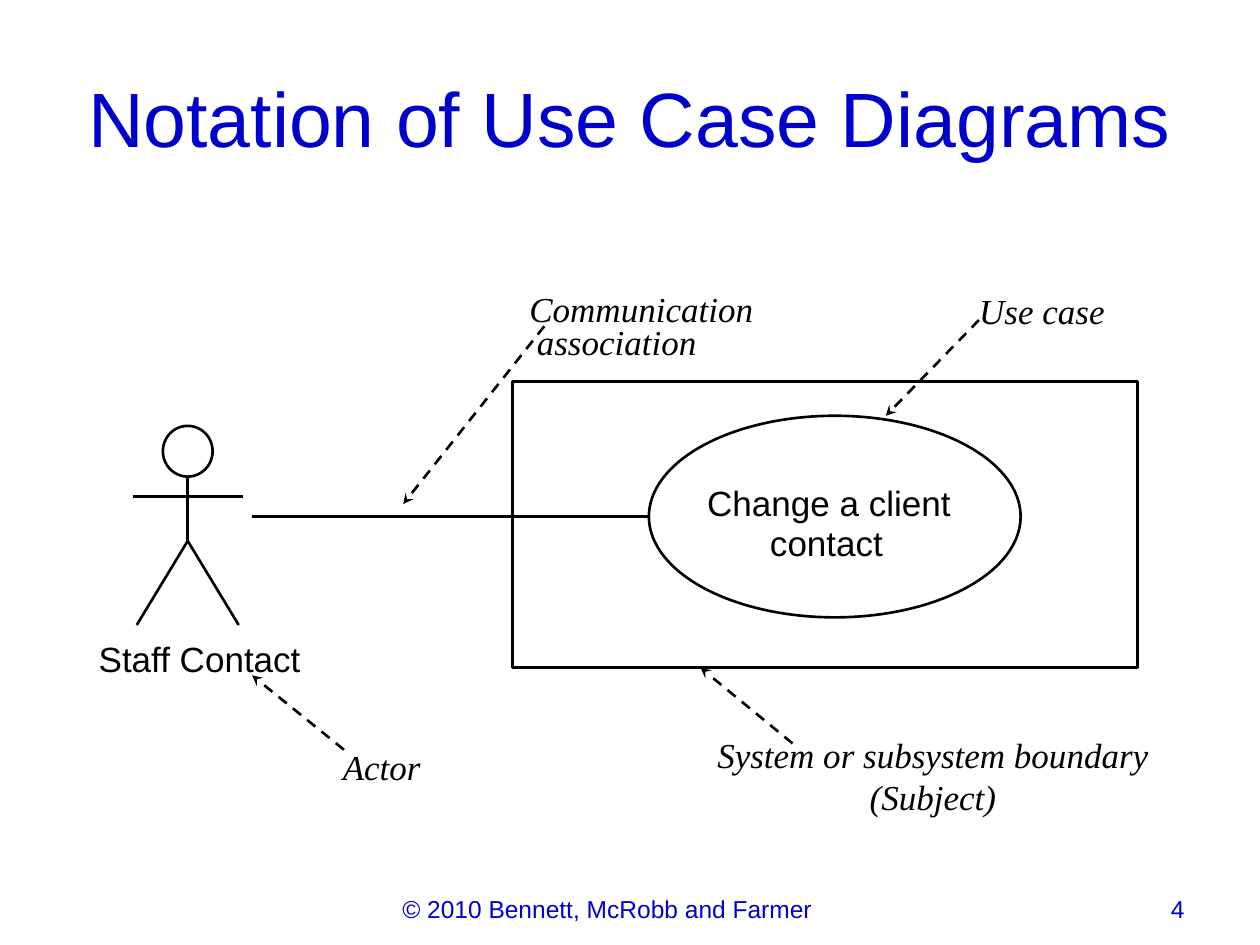
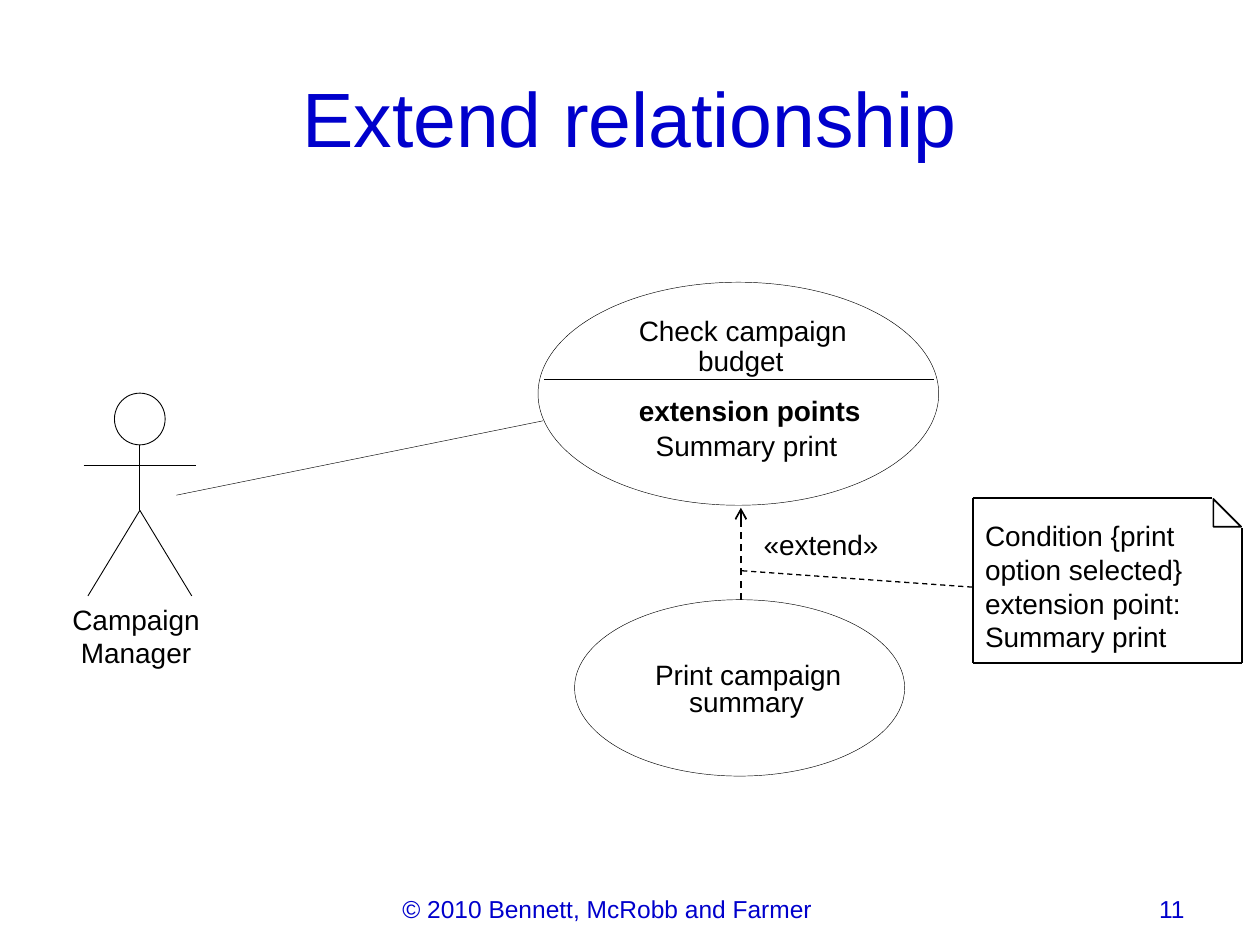
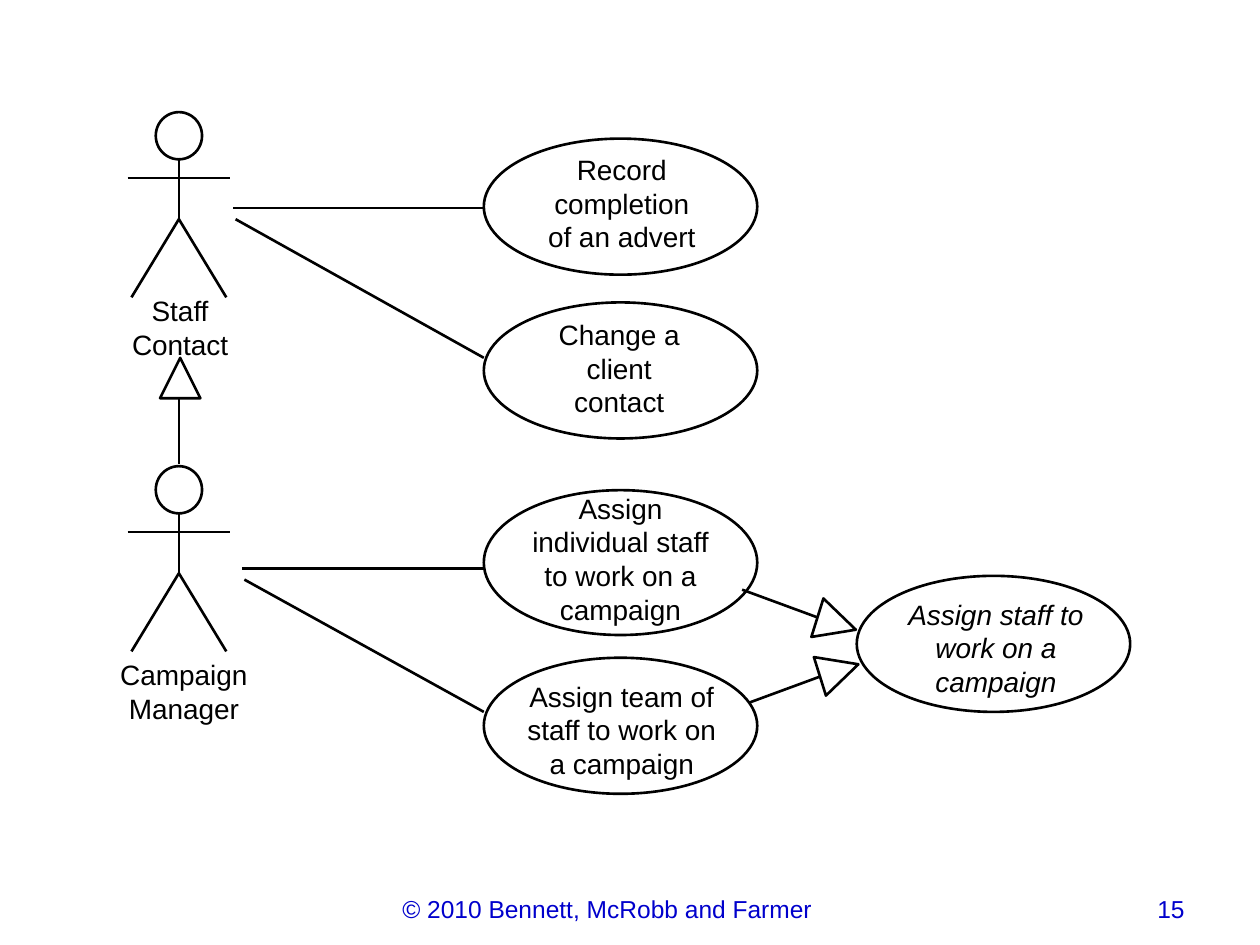
from lxml import etree
from pptx import Presentation
from pptx.dml.color import RGBColor
from pptx.enum import dml, shapes, text
from pptx.oxml.ns import qn
from pptx.util import Inches, Pt

BLUE = RGBColor(0x00, 0x00, 0xCC)
BLACK = RGBColor(0x00, 0x00, 0x00)
WHITE = RGBColor(0xFF, 0xFF, 0xFF)
SANS, SERIF = "Arial", "Times New Roman"
LEFT, CENTER, RIGHT = text.PP_ALIGN.LEFT, text.PP_ALIGN.CENTER, text.PP_ALIGN.RIGHT
SHAPE = shapes.MSO_SHAPE

TITLE_BOX = (0.5, 0.3, 9, 1.25)
FOOTER = "© 2010 Bennett, McRobb and Farmer"
FOOTER_BOX = (2.53, 7.05, 4.58, 0.3)
NUMBER_BOX = (7.17, 7.05, 2.33, 0.3)
MARGINS = (0.1, 0.05)

# Notation slide
BOUNDARY = (4.07, 3.03, 4.96, 2.27)
CHANGE_CONTACT = (5.15, 3.3, 2.95, 1.6)
COMMUNICATION = (2, 4.1, 5.15, 4.1)
NOTATION_NAMES = [
    ("Staff Contact", (0.78, 5.06, 1.61, 0.33)),
    ("Change a client", (5.61, 3.82, 1.94, 0.33)),
    ("contact", (6.11, 4.14, 0.9, 0.33)),
]
NOTATION_TERMS = [
    ("System or subsystem boundary\n(Subject)", (5.69, 5.82, 3.43, 0.67)),
    ("Actor", (2.72, 5.92, 0.62, 0.33)),
    ("Use case", (7.77, 2.3, 1, 0.33)),
    ("Communication", (4.2, 2.28, 1.78, 0.33)),
    ("association", (4.26, 2.54, 1.27, 0.33)),
]
TERM_POINTERS = [
    (2.73, 5.95, 2, 5.36),
    (6.29, 5.9, 5.56, 5.3),
    (7.77, 2.54, 7.03, 3.3),
    (4.32, 2.59, 3.2, 4),
]

# Extend slide
CHECK_BUDGET = (4.27, 2.24, 3.18, 1.77)
PRINT_SUMMARY = (4.56, 4.76, 2.62, 1.4)
EXTEND_TEXTS = [
    ("Campaign\nManager", (0.53, 4.78, 1.1, 0.55), CENTER, False),
    ("Check campaign", (5.07, 2.49, 1.74, 0.2), LEFT, False),
    ("budget", (5.54, 2.73, 0.8, 0.2), LEFT, False),
    ("extension points", (5.07, 3.12, 2.05, 0.34), LEFT, True),
    ("Summary print", (4.7, 3.4, 2.45, 0.43), CENTER, False),
    ("«extend»", (6.06, 4.19, 1.28, 0.3), LEFT, False),
    ("Print campaign", (5.2, 5.22, 1.57, 0.2), LEFT, False),
    ("summary", (5.47, 5.43, 1.03, 0.2), LEFT, False),
]
NOTE = (7.72, 3.95, 2.14, 1.31)
NOTE_FOLD = 0.24
CONDITION = ["Condition {print\noption selected}", "extension point: Summary print"]

# Generalization slide
CASE_LEFT, CASE_WIDTH, CASE_HEIGHT = 3.84, 2.17, 1.08
USE_CASES = [  # ellipse left, top, height; paragraphs; text box; italic
    (CASE_LEFT, 1.1, CASE_HEIGHT, ["Record completion", "of an advert"],
     (4.12, 1.21, 1.63, 0.91), False),
    (CASE_LEFT, 2.4, CASE_HEIGHT, ["Change a client", "contact"],
     (4.2, 2.52, 1.43, 0.84), False),
    (CASE_LEFT, 3.89, 1.15, ["Assign individual staff to work on a campaign"],
     (4.11, 3.9, 1.63, 1.2), False),
    (CASE_LEFT, 5.22, CASE_HEIGHT, ["Assign team of staff to work on a campaign"],
     (4.12, 5.39, 1.63, 0.98), False),
    (6.8, 4.57, CASE_HEIGHT, ["Assign staff to work on a campaign"],
     (7.09, 4.74, 1.63, 0.89), True),
]
ACTORS = [  # head top, name, name box
    (0.89, ["Staff", "Contact"], (0.88, 2.33, 1.1, 0.5)),
    (3.7, ["Campaign", "Manager"], (0.91, 5.22, 1.1, 0.5)),
]
ASSOCIATIONS = [
    (1.85, 1.65, 3.93, 1.65),
    (1.87, 1.74, 3.84, 2.84),
    (1.92, 4.51, 4, 4.51),
    (1.94, 4.6, 3.84, 5.65),
]
TEAM_IS_ASSIGN = ((5.91, 5.59, 6.78, 5.27), (6.66, 5.32), 72.6)
INDIVIDUAL_IS_ASSIGN = ((5.89, 4.68, 6.76, 5), (6.64, 4.95), 107.4)
MANAGER_IS_STAFF = ((1.42, 3.68, 1.42, 3.14), (1.43, 3), 0)
ARROW_SIZE = 0.32


def inches(values):
    return [Inches(v) for v in values]


def add_outline(slide, kind, box, weight, fill=WHITE):
    """Preset shape; a weight or fill of None leaves that part out."""
    outline = slide.shapes.add_shape(kind, *inches(box))
    outline.shadow.inherit = False
    if fill is None:
        outline.fill.background()
    else:
        outline.fill.solid()
        outline.fill.fore_color.rgb = fill
    if weight is None:
        outline.line.fill.background()
    else:
        outline.line.color.rgb = BLACK
        outline.line.width = Pt(weight)
    return outline


def add_line(slide, ends, weight, dashed=False, arrow=None):
    line = slide.shapes.add_connector(shapes.MSO_CONNECTOR.STRAIGHT, *inches(ends))
    line.line.color.rgb = BLACK
    line.line.width = Pt(weight)
    if dashed:
        line.line.dash_style = dml.MSO_LINE.DASH
    properties = line._element.spPr
    if arrow:
        etree.SubElement(properties.find(qn("a:ln")), qn("a:tailEnd"), type=arrow)
    etree.SubElement(properties, qn("a:effectLst"))


def write(frame, paragraphs, size, align, font=SANS, color=BLACK, bold=False, italic=False):
    for i, words in enumerate(paragraphs):
        paragraph = frame.paragraphs[0] if i == 0 else frame.add_paragraph()
        paragraph.alignment = align
        for j, row in enumerate(words.split("\n")):
            if j:
                paragraph.add_line_break()
            run = paragraph.add_run()
            run.text = row
            run.font.name, run.font.size = font, Pt(size)
            run.font.bold, run.font.italic = bold, italic
            run.font.color.rgb = color


def add_text(slide, paragraphs, box, size=16, align=CENTER, margins=(0, 0), wrap=True, **style):
    frame = slide.shapes.add_textbox(*inches(box)).text_frame
    frame.word_wrap = wrap
    frame.margin_left = frame.margin_right = Inches(margins[0])
    frame.margin_top = frame.margin_bottom = Inches(margins[1])
    write(frame, paragraphs, size, align, **style)


def add_actor(slide, center, top, height, weight):
    """Stick figure whose parts are fixed shares of its height."""
    arms, hip, feet = top + 0.355 * height, top + 0.578 * height, top + height
    reach, stride = 0.277 * height, 0.256 * height
    head_width, head_height = 0.25 * height, 0.255 * height
    for limb in [
        (center, hip, center, top + head_height),
        (center - reach, arms, center + reach, arms),
        (center - stride, feet, center, hip),
        (center, hip, center + stride, feet),
    ]:
        add_line(slide, limb, weight)
    head = (center - head_width / 2, top, head_width, head_height)
    add_outline(slide, SHAPE.OVAL, head, weight)


def add_generalization(slide, shaft, middle, rotation):
    add_line(slide, shaft, 1.5)
    corner = [m - ARROW_SIZE / 2 for m in middle]
    triangle = add_outline(slide, SHAPE.ISOSCELES_TRIANGLE,
                           (*corner, ARROW_SIZE, ARROW_SIZE), 1.5)
    triangle.rotation = rotation


def add_slide(deck, number, title=None):
    slide = deck.slides.add_slide(deck.slide_layouts[5 if title else 6])
    for words, box, align in [(str(number), NUMBER_BOX, RIGHT), (FOOTER, FOOTER_BOX, CENTER)]:
        add_text(slide, [words], box, 14, align, MARGINS, color=BLUE)
    if title:
        heading = slide.shapes.title
        heading.left, heading.top, heading.width, heading.height = inches(TITLE_BOX)
        heading.text_frame.vertical_anchor = text.MSO_ANCHOR.MIDDLE
        write(heading.text_frame, [title], 44, CENTER, color=BLUE)
    return slide


def build_notation(deck):
    slide = add_slide(deck, 4, "Notation of Use Case Diagrams")
    add_outline(slide, SHAPE.RECTANGLE, BOUNDARY, 1.5, fill=None)
    add_outline(slide, SHAPE.OVAL, CHANGE_CONTACT, 1.5, fill=None)
    add_line(slide, COMMUNICATION, 1.5)
    for name, box in NOTATION_NAMES:
        add_text(slide, [name], box, 20, wrap=False)
    for term, box in NOTATION_TERMS:
        add_text(slide, [term], box, 20, wrap=False, font=SERIF, italic=True)
    add_actor(slide, 1.49, 3.38, 1.58, 1.5)
    for ends in TERM_POINTERS:
        add_line(slide, ends, 1.5, dashed=True, arrow="stealth")


def build_note(slide):
    left, top, width, height = NOTE
    right, bottom = left + width, top + height
    add_outline(slide, SHAPE.RECTANGLE, NOTE, None)
    for edge in [
        (left, top, left, bottom),
        (left, top, right - NOTE_FOLD, top),
        (right, top + NOTE_FOLD, right, bottom),
        (left, bottom, right, bottom),
    ]:
        add_line(slide, edge, 1)
    fold = (right - 0.23, top + 0.01, 0.22, 0.22)
    add_outline(slide, SHAPE.RIGHT_TRIANGLE, fold, 1)
    add_text(slide, CONDITION, (left, 4.07, width, 1.16), align=LEFT, margins=MARGINS)


def build_extend(deck):
    slide = add_slide(deck, 11, "Extend relationship")
    add_line(slide, (1.4, 3.93, 4.31, 3.34), 0.25)
    for case in (CHECK_BUDGET, PRINT_SUMMARY):
        add_outline(slide, SHAPE.OVAL, case, 0.25)
    add_line(slide, (4.32, 3.01, 7.41, 3.01), 0.75)
    for words, box, align, bold in EXTEND_TEXTS:
        add_text(slide, [words], box, align=align, bold=bold)
    add_actor(slide, 1.11, 3.12, 1.61, 0.5)
    add_line(slide, (5.88, 4.76, 5.88, 4.03), 1, dashed=True, arrow="arrow")
    build_note(slide)
    add_line(slide, (5.89, 4.53, 7.72, 4.66), 0.75, dashed=True)


def build_generalization(deck):
    slide = add_slide(deck, 15)
    add_generalization(slide, *TEAM_IS_ASSIGN)
    for top, name, box in ACTORS:
        add_actor(slide, 1.42, top, 1.47, 1.5)
        add_text(slide, name, box)
    for ends in ASSOCIATIONS:
        add_line(slide, ends, 1.5)
    for left, top, height, words, box, italic in USE_CASES:
        add_outline(slide, SHAPE.OVAL, (left, top, CASE_WIDTH, height), 1.5)
        add_text(slide, words, box, italic=italic)
    add_generalization(slide, *INDIVIDUAL_IS_ASSIGN)
    add_generalization(slide, *MANAGER_IS_STAFF)


def main():
    deck = Presentation()
    deck.slide_width, deck.slide_height = Inches(10), Inches(7.5)
    build_notation(deck)
    build_extend(deck)
    build_generalization(deck)
    deck.save("out.pptx")


if __name__ == "__main__":
    main()
